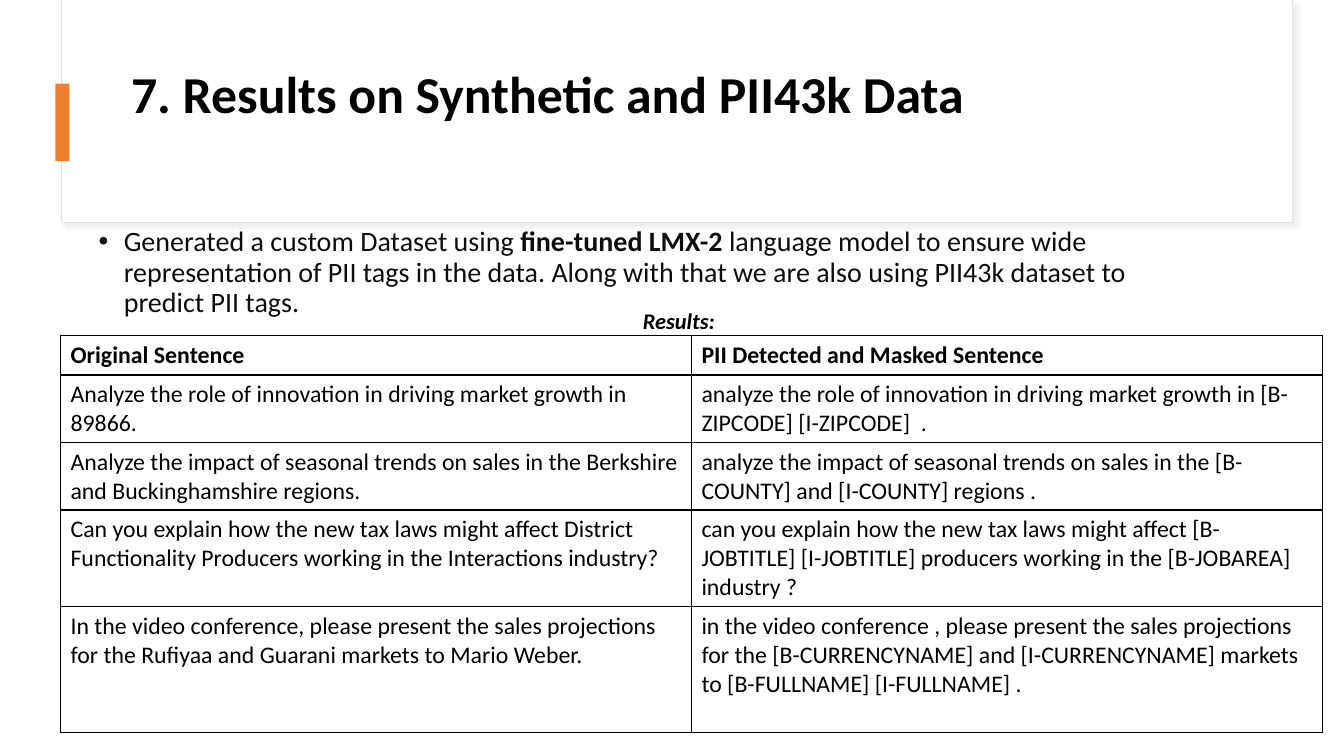
from dataclasses import dataclass
from typing import Optional

from lxml.etree import SubElement
from pptx import Presentation
from pptx.dml.color import RGBColor
from pptx.enum.shapes import MSO_SHAPE
from pptx.enum.text import MSO_ANCHOR, MSO_AUTO_SIZE
from pptx.oxml.ns import qn
from pptx.util import Pt

FONT = "Calibri"
COLORS = {
    "black": "000000",
    "body": "0D0D0D",
    "white": "FFFFFF",
    "frame": "E1E1E1",
    "shadow": "D9D9D9",
    "accent": "ED7D31",
}


@dataclass
class Panel:
    left: float
    top: float
    width: float
    height: float
    fill: str
    line: Optional[str] = None
    shadow: bool = False


PANELS = [
    Panel(43.92, 0, 879.12, 159.12, "white", line="frame", shadow=True),
    Panel(44.64, 0, 878.4, 158.4, "white"),
    Panel(39.6, 59.76, 10.08, 55.44, "accent"),
]

COLUMN_WIDTH = 450.72
ROW_HEIGHTS = [28.08, 48.24, 48.24, 69.12, 90]
RESULTS = [
    ("Original Sentence", "PII Detected and Masked Sentence"),
    ("Analyze the role of innovation in driving market growth in 89866.",
     "analyze the role of innovation in driving market growth in "
     "[B-ZIPCODE] [I-ZIPCODE]  ."),
    ("Analyze the impact of seasonal trends on sales in the Berkshire and "
     "Buckinghamshire regions.",
     "analyze the impact of seasonal trends on sales in the [B-COUNTY] and "
     "[I-COUNTY] regions ."),
    ("Can you explain how the new tax laws might affect District "
     "Functionality Producers working in the Interactions industry?",
     "can you explain how the new tax laws might affect [B-JOBTITLE] "
     "[I-JOBTITLE] producers working in the [B-JOBAREA] industry ?"),
    ("In the video conference, please present the sales projections for the "
     "Rufiyaa and Guarani markets to Mario Weber.",
     "in the video conference , please present the sales projections for the "
     "[B-CURRENCYNAME] and [I-CURRENCYNAME] markets to [B-FULLNAME] "
     "[I-FULLNAME] ."),
]


def color(name: str) -> RGBColor:
    return RGBColor.from_string(COLORS[name])


def add_text(paragraph, text: str, *, size: float, color_name: str = "black",
             bold: bool = False, italic: bool = False) -> None:
    run = paragraph.add_run()
    run.text = text
    run.font.name = FONT
    run.font.size = Pt(size)
    run.font.bold = bold
    run.font.italic = italic
    run.font.color.rgb = color(color_name)


def add_solid_fill(parent, color_name: str):
    fill = SubElement(parent, qn("a:solidFill"))
    return SubElement(fill, qn("a:srgbClr"), val=COLORS[color_name])


def add_panel(slide, panel: Panel) -> None:
    shape = slide.shapes.add_shape(
        MSO_SHAPE.RECTANGLE, Pt(panel.left), Pt(panel.top),
        Pt(panel.width), Pt(panel.height))
    shape.shadow.inherit = False
    shape.fill.solid()
    shape.fill.fore_color.rgb = color(panel.fill)
    if panel.line:
        shape.line.color.rgb = color(panel.line)
        shape.line.width = Pt(0.75)
    else:
        shape.line.fill.background()
    if panel.shadow:
        effects = shape.element.spPr.find(qn("a:effectLst"))
        shadow = SubElement(effects, qn("a:outerShdw"), blurRad=str(Pt(4)),
                            dist=str(Pt(3)), dir="2700000", algn="tl",
                            rotWithShape="0")
        tint = SubElement(shadow, qn("a:srgbClr"), val=COLORS["shadow"])
        SubElement(tint, qn("a:alpha"), val="50000")


def add_title(slide) -> None:
    title = slide.shapes.title
    title.left, title.top = Pt(86.4), Pt(43.2)
    title.width, title.height = Pt(802.08), Pt(51.12)
    frame = title.text_frame
    frame.word_wrap = True
    frame.auto_size = MSO_AUTO_SIZE.NONE
    frame.vertical_anchor = MSO_ANCHOR.MIDDLE
    paragraph = frame.paragraphs[0]
    # The default title is centred
    paragraph.alignment = 1
    paragraph.line_spacing = 0.9
    add_text(paragraph, "7. Results on Synthetic and PII43k Data",
             size=37, bold=True)


def add_text_box(slide, left: float, top: float, width: float, height: float):
    box = slide.shapes.add_textbox(Pt(left), Pt(top), Pt(width), Pt(height))
    box.text_frame.word_wrap = True
    return box.text_frame


def add_summary(slide) -> None:
    paragraph = add_text_box(slide, 63.36, 159.12, 797.76, 66.24).paragraphs[0]
    paragraph.line_spacing = 0.9
    paragraph.space_before = Pt(10)
    properties = paragraph._p.get_or_add_pPr()
    properties.set("marL", str(Pt(18)))
    properties.set("indent", str(Pt(-18)))
    SubElement(properties, qn("a:buFont"), typeface="Arial")
    SubElement(properties, qn("a:buChar"), char="•")
    for text, bold in [
        ("Generated a custom Dataset using ", False),
        ("fine-tuned LMX-2", True),
        (" language model to ensure wide representation of PII tags in the "
         "data. Along with that we are also using PII43k dataset to predict "
         "PII tags.", False),
    ]:
        add_text(paragraph, text, size=20, color_name="body", bold=bold)


def add_caption(slide) -> None:
    frame = add_text_box(slide, 452.16, 216, 72, 200.88)
    frame.auto_size = MSO_AUTO_SIZE.SHAPE_TO_FIT_TEXT
    add_text(frame.paragraphs[0], "Results:", size=16, bold=True, italic=True)


def format_cell(cell) -> None:
    properties = cell._tc.get_or_add_tcPr()
    for side in ("lnL", "lnR", "lnT", "lnB"):
        border = SubElement(properties, qn(f"a:{side}"), w=str(Pt(1)))
        add_solid_fill(border, "black")
    cell.fill.background()


def add_results_table(slide) -> None:
    table = slide.shapes.add_table(
        len(RESULTS), 2, Pt(43.2), Pt(239.76),
        Pt(2 * COLUMN_WIDTH), Pt(sum(ROW_HEIGHTS))).table
    table.first_row = False
    table.horz_banding = False
    for column in table.columns:
        column.width = Pt(COLUMN_WIDTH)
    for row_index, (height, sentences) in enumerate(zip(ROW_HEIGHTS, RESULTS)):
        table.rows[row_index].height = Pt(height)
        for column_index, sentence in enumerate(sentences):
            cell = table.cell(row_index, column_index)
            format_cell(cell)
            add_text(cell.text_frame.paragraphs[0], sentence,
                     size=17, bold=row_index == 0)


def main() -> None:
    presentation = Presentation()
    presentation.slide_width, presentation.slide_height = Pt(960), Pt(540)
    slide = presentation.slides.add_slide(presentation.slide_layouts[5])

    # Header frame and accent bar
    for panel in PANELS:
        add_panel(slide, panel)
    # Bring the title in front of the header frame
    title_element = slide.shapes.title.element
    slide.shapes.element.append(title_element)
    add_title(slide)

    # Summary and results
    add_summary(slide)
    add_caption(slide)
    add_results_table(slide)
    presentation.save("out.pptx")


if __name__ == "__main__":
    main()
